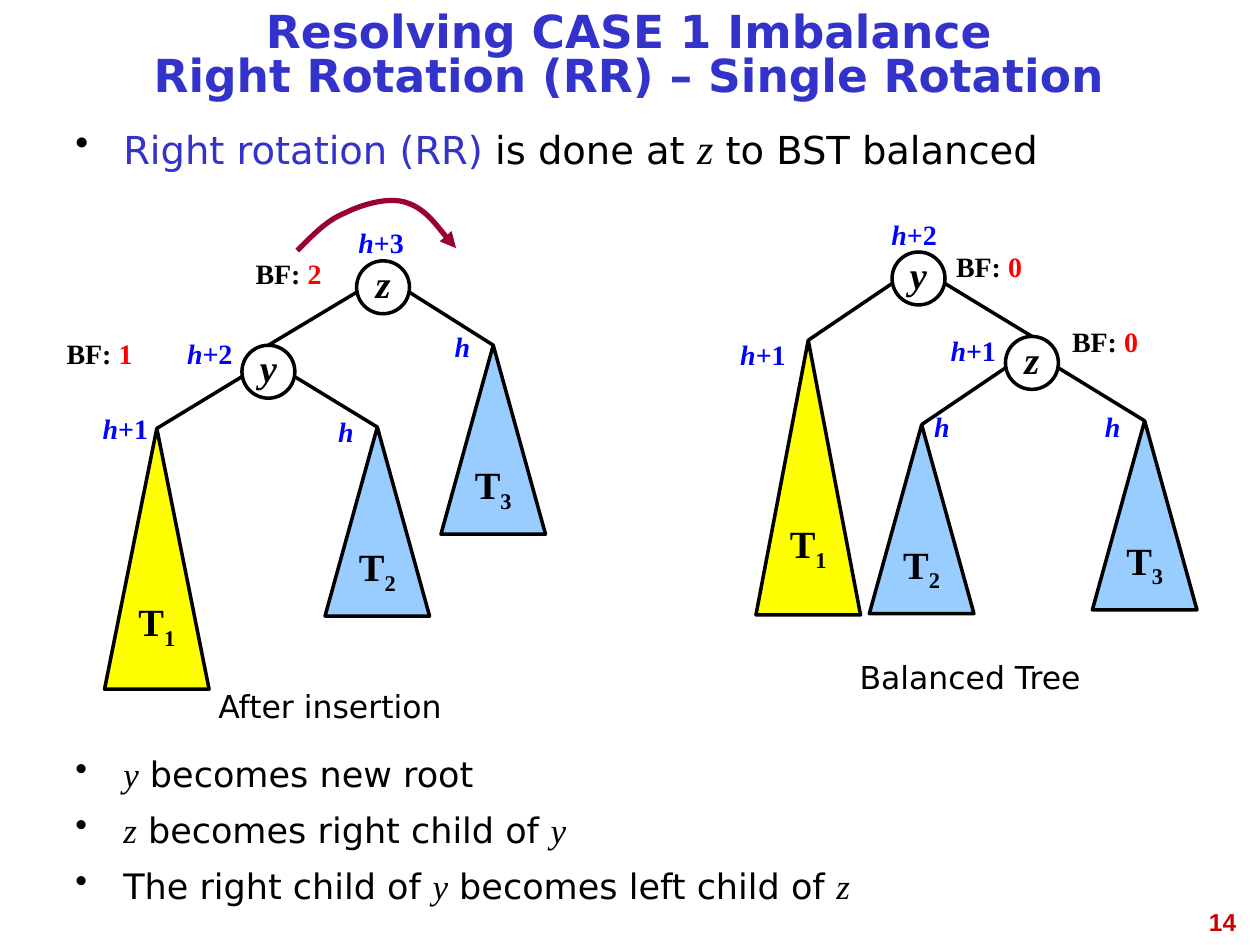
from lxml.etree import SubElement
from pptx import Presentation
from pptx.dml.color import RGBColor
from pptx.enum.shapes import MSO_CONNECTOR, MSO_SHAPE
from pptx.enum.text import MSO_ANCHOR, PP_ALIGN
from pptx.oxml.ns import qn
from pptx.util import Inches, Pt

SANS, SERIF = "DejaVu Sans", "Times New Roman"
BLACK, NAVY, BLUE, RED = "000000", "3333CC", "0000FF", "FF0000"
YELLOW, SKY, WINE = "FFFF00", "99CCFF", "990033"
NODE = 0.42
BASE = 0.83
VAR = dict(font=SERIF, italic=True)


def rgb(code):
    return RGBColor.from_string(code)


def write(frame, *paras, align=PP_ALIGN.CENTER, anchor=MSO_ANCHOR.TOP, wrap=True,
          space=None, bullet=False, gap=0, **base):
    """Fill a frame; a paragraph is a list of strings or (string, format) pairs."""
    frame.word_wrap, frame.vertical_anchor = wrap, anchor
    for i, runs in enumerate(paras):
        para = frame.add_paragraph() if i else frame.paragraphs[0]
        para.alignment = align
        if space:
            para.line_spacing = space
        if i:
            para.space_before = Pt(gap)
        if bullet:
            add_dot(para)
        for item in runs:
            text, look = (item, {}) if isinstance(item, str) else item
            if text == "\n":
                para.add_line_break()
            else:
                add_run(para, text, **{**base, **look})


def add_run(para, text, size=16, font=SERIF, color=BLACK, bold=False, italic=False, sub=False):
    run = para.add_run()
    run.text = text
    face = run.font
    face.size, face.name, face.bold, face.italic = Pt(size), font, bold, italic
    face.color.rgb = rgb(color)
    if sub:
        run._r.get_or_add_rPr().set("baseline", "-25000")


def add_dot(para):
    props = para._p.get_or_add_pPr()
    props.set("marL", str(Inches(0.38)))
    props.set("indent", str(Inches(-0.38)))
    tint = SubElement(props, qn("a:buClr"))
    SubElement(tint, qn("a:srgbClr")).set("val", BLACK)
    SubElement(props, qn("a:buChar")).set("char", "•")


def add_text(slide, x, y, w, h, *paras, **look):
    box = slide.shapes.add_textbox(Inches(x), Inches(y), Inches(w), Inches(h))
    write(box.text_frame, *paras, **look)


def add_part(slide, kind, x, y, w, h, runs, fill=None, **look):
    part = slide.shapes.add_shape(kind, Inches(x), Inches(y), Inches(w), Inches(h))
    part.shadow.inherit = False
    if fill:
        part.fill.solid()
        part.fill.fore_color.rgb = rgb(fill)
    else:
        part.fill.background()
    part.line.color.rgb, part.line.width = rgb(BLACK), Pt(2)
    write(part.text_frame, runs, anchor=MSO_ANCHOR.MIDDLE, wrap=False, space=0.81,
          size=22, bold=True, **look)
    return part


def add_node(slide, x, y, name):
    return add_part(slide, MSO_SHAPE.OVAL, x, y, NODE, NODE, [name], italic=True)


def add_tree(slide, x, y, h, num, fill=SKY):
    runs = ["T", (num, dict(sub=True))]
    return add_part(slide, MSO_SHAPE.ISOSCELES_TRIANGLE, x, y, BASE, h, runs, fill)


def link(slide, top, left, right):
    """Join a node to the tops of its two children."""
    for child, x in ((left, top.left), (right, top.left + top.width)):
        line = slide.shapes.add_connector(
            MSO_CONNECTOR.STRAIGHT, x, top.top + Inches(0.25), child.left, child.top)
        line.end_connect(child, 0)
        line.line.color.rgb, line.line.width = rgb(BLACK), Pt(2)
        SubElement(line._element.spPr, qn("a:effectLst"))


def add_height(slide, x, y, plus="", w=BASE):
    runs = [("h", dict(italic=True))] + ([plus] if plus else [])
    add_text(slide, x, y, w, 0.37, runs, color=BLUE, bold=True)


def add_factor(slide, x, y, value):
    add_text(slide, x, y, 1.08, 0.37, ["BF: ", (value, dict(color=RED))], bold=True)


def add_swing(slide):
    """Draw the curved arrow that shows the rotation."""
    start, *rest = [(2.36, 1.99), (2.48, 1.87), (2.59, 1.75), (2.74, 1.69), (2.88, 1.62),
                    (3.09, 1.56), (3.23, 1.61), (3.38, 1.66), (3.56, 1.91), (3.62, 1.97)]
    pen = slide.shapes.build_freeform(*start, scale=Inches(1))
    # Whole units are too coarse for a freeform, so points are given in EMU.
    pen = slide.shapes.build_freeform(*map(Inches, start), scale=1.0)
    pen.add_line_segments([tuple(map(Inches, spot)) for spot in rest], close=False)
    arc = pen.convert_to_shape()
    arc.shadow.inherit = False
    arc.fill.background()
    arc.line.color.rgb, arc.line.width = rgb(WINE), Pt(3)
    SubElement(arc.line._get_or_add_ln(), qn("a:tailEnd")).set("type", "triangle")
    steps = list(arc._element.iter(qn("a:lnTo")))
    route = steps[0].getparent()
    for i in range(0, len(steps), 3):
        curve = SubElement(route, qn("a:cubicBezTo"))
        for step in steps[i:i + 3]:
            curve.append(step[0])
            route.remove(step)


def draw_before(slide):
    z, y = add_node(slide, 2.83, 2.07, "z"), add_node(slide, 1.92, 2.74, "y")
    link(slide, z, y, add_tree(slide, 3.5, 2.74, 1.5, "3"))
    link(slide, y, add_tree(slide, 0.83, 3.4, 2.07, "1", YELLOW),
         add_tree(slide, 2.58, 3.39, 1.5, "2"))
    add_height(slide, 2.61, 1.74, "+3")
    add_height(slide, 1.25, 2.62, "+2")
    add_height(slide, 0.58, 3.22, "+1")
    add_height(slide, 2.33, 3.24)
    add_height(slide, 3.17, 2.57, w=1)
    add_factor(slide, 1.75, 1.99, "2")
    add_factor(slide, 0.25, 2.62, "1")
    add_swing(slide)
    add_text(slide, 1.15, 5.4, 2.94, 0.4, ["After insertion"], size=18, font=SANS)


def draw_after(slide):
    y, z = add_node(slide, 7.08, 2, "y"), add_node(slide, 7.98, 2.67, "z")
    link(slide, y, add_tree(slide, 6, 2.7, 2.18, "1", YELLOW), z)
    link(slide, z, add_tree(slide, 6.9, 3.37, 1.5, "2"), add_tree(slide, 8.67, 3.34, 1.5, "3"))
    add_height(slide, 6.84, 1.68, "+2")
    add_height(slide, 5.64, 2.63, "+1")
    add_height(slide, 7.31, 2.6, "+1")
    add_height(slide, 7.06, 3.2)
    add_height(slide, 8.33, 3.2, w=1)
    add_factor(slide, 7.31, 1.93, "0")
    add_factor(slide, 8.23, 2.53, "0")
    add_text(slide, 6.23, 5.17, 2.94, 0.4, ["Balanced Tree"], size=18, font=SANS)


def main():
    deck = Presentation()
    deck.slide_width, deck.slide_height = Inches(10), Inches(7.5)
    slide = deck.slides.add_slide(deck.slide_layouts[6])
    add_text(slide, 7.58, 7.15, 2.33, 0.52, ["14"], align=PP_ALIGN.RIGHT, size=14,
             font="Arial", color="CC0000", bold=True)
    add_text(slide, 0.5, 0.08, 8.99, 0.75,
             ["Resolving CASE 1 Imbalance", "\n", "Right Rotation (RR) – Single Rotation"],
             anchor=MSO_ANCHOR.MIDDLE, space=0.81, size=26, font=SANS, color=NAVY, bold=True)
    dots = dict(align=PP_ALIGN.JUSTIFY, bullet=True, gap=8, font=SANS)
    add_text(slide, 0.5, 0.92, 8.99, 0.58,
             [("Right rotation (RR)", dict(color=NAVY)), " is done at ",
              ("z", dict(VAR, size=24)), " to BST balanced"], size=22, **dots)
    draw_before(slide)
    draw_after(slide)
    y, z = ("y", VAR), ("z", VAR)
    add_text(slide, 0.5, 5.92, 8.99, 1.33,
             [y, " becomes new root"],
             [z, " becomes right child of ", y],
             ["The right child of ", y, " becomes left child of ", z], size=20, **dots)
    deck.save("out.pptx")


if __name__ == "__main__":
    main()
